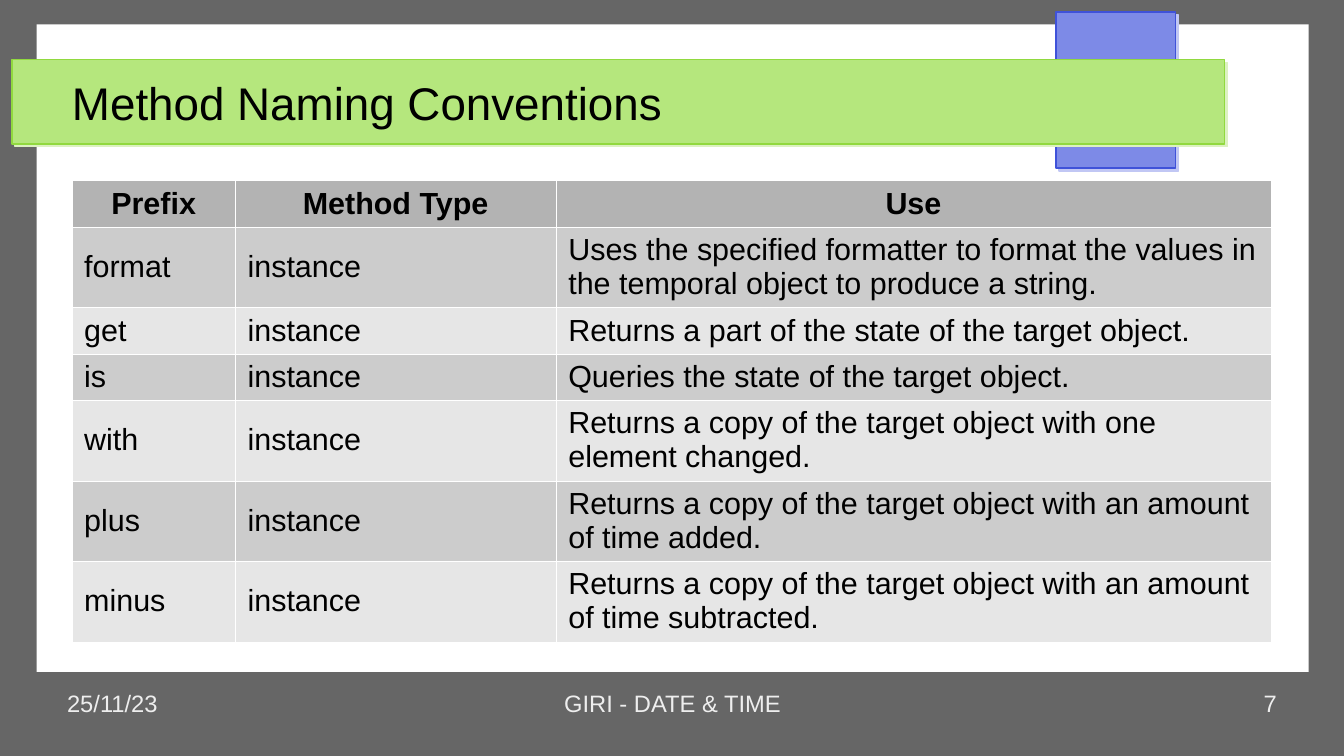
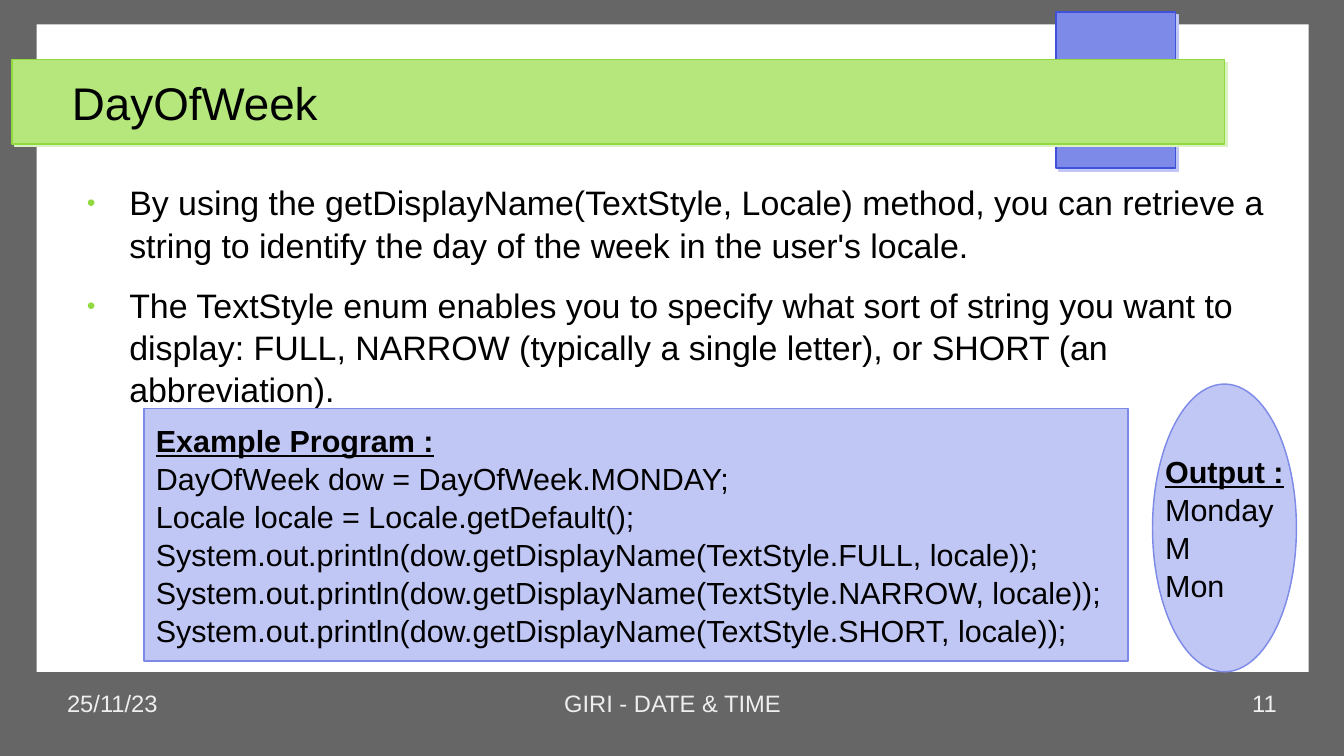
from dataclasses import dataclass

from lxml import etree
from pptx import Presentation
from pptx.dml.color import RGBColor
from pptx.enum.shapes import MSO_SHAPE
from pptx.enum.text import MSO_ANCHOR, MSO_AUTO_SIZE, PP_ALIGN
from pptx.oxml.ns import qn
from pptx.util import Inches, Pt

RECTANGLE, OVAL = MSO_SHAPE.RECTANGLE, MSO_SHAPE.OVAL
TOP, MIDDLE = MSO_ANCHOR.TOP, MSO_ANCHOR.MIDDLE
LEFT, CENTER, RIGHT = PP_ALIGN.LEFT, PP_ALIGN.CENTER, PP_ALIGN.RIGHT
NO_AUTOFIT = MSO_AUTO_SIZE.NONE
TITLE_ONLY = 5


@dataclass(frozen=True)
class Theme:
    font: str = "Arial"
    title_size: float = 27
    body_size: float = 20
    detail_size: float = 18
    footer_size: float = 14
    line_width: float = 0.85
    border_width: float = 0.06
    line_spacing: float = 1.04
    text: str = "000000"
    footer_text: str = "EEEEEE"
    frame: str = "666666"
    paper: str = "FFFFFF"
    green: str = "B5E77D"
    green_line: str = "91D93F"
    green_shadow: str = "DCF1C1"
    blue: str = "7D8AE7"
    blue_line: str = "3F52D9"
    pale_blue: str = "C1C7F4"
    header_row: str = "B3B3B3"
    row_bands: tuple = ("CCCCCC", "E6E6E6")


THEME = Theme()
SLIDE_SIZE = (11.02, 6.2)
TITLE_BOX = (0.59, 0.49, 9.45, 0.69)
CONTENT_BOX = (0.59, 1.48, 9.84, 3.94)
FOOTER_TOP, FOOTER_HEIGHT = 5.65, 0.43
FOOTER_DATE, FOOTER_NAME = "25/11/23", "GIRI - DATE & TIME"

COLUMN_WIDTHS = (1.34, 2.63, 5.86)
ONE_LINE_ROW, TWO_LINE_ROW = 0.38, 0.66
TABLE_HEADER = ("Prefix", "Method Type", "Use")
METHODS = (
    ("format", "Uses the specified formatter to format the values in the temporal "
               "object to produce a string.", TWO_LINE_ROW),
    ("get", "Returns a part of the state of the target object.", ONE_LINE_ROW),
    ("is", "Queries the state of the target object.", ONE_LINE_ROW),
    ("with", "Returns a copy of the target object with one element changed.",
     TWO_LINE_ROW),
    ("plus", "Returns a copy of the target object with an amount of time added.",
     TWO_LINE_ROW),
    ("minus", "Returns a copy of the target object with an amount of time subtracted.",
     TWO_LINE_ROW),
)

BULLETS = (
    "By using the getDisplayName(TextStyle, Locale) method, you can retrieve a "
    "string to identify the day of the week in the user's locale.",
    "The TextStyle enum enables you to specify what sort of string you want to "
    "display: FULL, NARROW (typically a single letter), or SHORT (an abbreviation).",
)
PROGRAM = (
    "Example Program :",
    "DayOfWeek dow = DayOfWeek.MONDAY;",
    "Locale locale = Locale.getDefault();",
    *(f"System.out.println(dow.getDisplayName(TextStyle.{style}, locale));"
      for style in ("FULL", "NARROW", "SHORT")),
)
OUTPUT = ("Output :", "Monday", "M", "Mon")


def set_format(target, **values):
    for name, value in values.items():
        setattr(target, name, value)


def add_xml(parent, tag, **attributes):
    return etree.SubElement(parent, qn(tag), attributes)


def to_inches(box):
    return [Inches(length) for length in box]


def format_frame(frame, anchor=TOP, margins=(0, 0), wrap=True):
    horizontal, vertical = (Inches(margin) for margin in margins)
    set_format(frame, auto_size=NO_AUTOFIT, word_wrap=wrap, vertical_anchor=anchor,
               margin_left=horizontal, margin_right=horizontal,
               margin_top=vertical, margin_bottom=vertical)


def write_paragraph(paragraph, text, size, color=THEME.text, align=LEFT, **font_values):
    paragraph.alignment = align
    run = paragraph.add_run()
    run.text = text
    set_format(run.font, name=THEME.font, size=Pt(size), **font_values)
    run.font.color.rgb = RGBColor.from_string(color)


def next_paragraph(frame, index):
    return frame.add_paragraph() if index else frame.paragraphs[0]


def add_panel(slide, box, fill, line=None, shadow=None, kind=RECTANGLE):
    shape = slide.shapes.add_shape(kind, *to_inches(box))
    shape.fill.solid()
    shape.fill.fore_color.rgb = RGBColor.from_string(fill)
    if line:
        shape.line.color.rgb = RGBColor.from_string(line)
        shape.line.width = Pt(THEME.line_width)
    else:
        shape.line.fill.background()
    shape.shadow.inherit = False
    if shadow:
        effects = shape.element.spPr.find(qn("a:effectLst"))
        outer = add_xml(effects, "a:outerShdw", blurRad="0", dist=str(Pt(2.4)),
                        dir="2700000", algn="tl", rotWithShape="0")
        add_xml(outer, "a:srgbClr", val=shadow)
    return shape


def add_text_box(slide, box):
    frame = slide.shapes.add_textbox(*to_inches(box)).text_frame
    format_frame(frame)
    return frame


def add_backdrop(slide):
    add_panel(slide, (0, 0, *SLIDE_SIZE), THEME.frame)
    add_panel(slide, (0.3, 0.2, 10.43, 5.31), THEME.paper)
    add_panel(slide, (8.66, 0.1, 0.98, 1.28), THEME.blue, THEME.blue_line,
              THEME.pale_blue)
    add_panel(slide, (0.1, 0.49, 9.94, 0.69), THEME.green, THEME.green_line,
              THEME.green_shadow)


def place_title(slide, text):
    """Format the title placeholder and lift it above the backdrop."""
    title = slide.shapes.title
    left, top, width, height = to_inches(TITLE_BOX)
    set_format(title, left=left, top=top, width=width, height=height)
    format_frame(title.text_frame, MIDDLE)
    write_paragraph(title.text_frame.paragraphs[0], text, THEME.title_size)
    title.element.getparent().append(title.element)


def add_footer(slide, number):
    for text, left, width, align in (
        (FOOTER_DATE, 0.55, 2.57, LEFT),
        (FOOTER_NAME, 3.77, 3.49, CENTER),
        (str(number), 7.9, 2.57, RIGHT),
    ):
        frame = add_text_box(slide, (left, FOOTER_TOP, width, FOOTER_HEIGHT))
        write_paragraph(frame.paragraphs[0], text, THEME.footer_size,
                        THEME.footer_text, align)


def add_base_slide(presentation, title, number):
    slide = presentation.slides.add_slide(presentation.slide_layouts[TITLE_ONLY])
    add_backdrop(slide)
    place_title(slide, title)
    add_footer(slide, number)
    return slide


def format_cell(cell, text, fill, anchor, **text_values):
    set_format(cell, vertical_anchor=anchor,
               margin_left=Inches(0.1), margin_right=Inches(0.1),
               margin_top=Inches(0.05), margin_bottom=Inches(0.05))
    properties = cell._tc.get_or_add_tcPr()
    for side in ("a:lnL", "a:lnR", "a:lnT", "a:lnB"):
        border = add_xml(properties, side, w=str(Pt(THEME.border_width)))
        add_xml(add_xml(border, "a:solidFill"), "a:srgbClr", val=THEME.paper)
    cell.fill.solid()
    cell.fill.fore_color.rgb = RGBColor.from_string(fill)
    write_paragraph(cell.text_frame.paragraphs[0], text, THEME.detail_size, **text_values)


def add_method_table(slide, box):
    left, top, width, _ = box
    heights = [ONE_LINE_ROW] + [height for _, _, height in METHODS]
    table = slide.shapes.add_table(
        len(heights), len(COLUMN_WIDTHS),
        *to_inches((left, top, width, sum(heights)))).table
    table.horz_banding = False
    for column, column_width in zip(table.columns, COLUMN_WIDTHS):
        column.width = Inches(column_width)
    for row, height in zip(table.rows, heights):
        row.height = Inches(height)
    for cell, text in zip(table.rows[0].cells, TABLE_HEADER):
        format_cell(cell, text, THEME.header_row, MIDDLE, align=CENTER, bold=True)
    for index, (prefix, use, _) in enumerate(METHODS):
        fill = THEME.row_bands[index % 2]
        texts = ((prefix, MIDDLE), ("instance", MIDDLE), (use, TOP))
        for cell, (text, anchor) in zip(table.rows[index + 1].cells, texts):
            format_cell(cell, text, fill, anchor, bold=False)


def add_bullets(slide, box):
    frame = add_text_box(slide, box)
    for index, text in enumerate(BULLETS):
        paragraph = next_paragraph(frame, index)
        set_format(paragraph, line_spacing=THEME.line_spacing, space_after=Pt(10.6))
        write_paragraph(paragraph, text, THEME.body_size)
        properties = paragraph._p.get_or_add_pPr()
        properties.set("marL", str(Inches(0.47)))
        properties.set("indent", str(Inches(-0.35)))
        add_xml(add_xml(properties, "a:buClr"), "a:srgbClr", val=THEME.green_line)
        add_xml(properties, "a:buSzPct", val="45000")
        add_xml(properties, "a:buFont", typeface=THEME.font)
        add_xml(properties, "a:buChar", char="●")


def add_listing(slide, box, lines, kind=RECTANGLE, heading_align=LEFT):
    """Add a pale panel whose first line is an underlined heading."""
    panel = add_panel(slide, box, THEME.pale_blue, THEME.blue, kind=kind)
    frame = panel.text_frame
    format_frame(frame, MIDDLE, margins=(0.1, 0.05), wrap=False)
    for index, text in enumerate(lines):
        heading = index == 0
        paragraph = next_paragraph(frame, index)
        paragraph.line_spacing = THEME.line_spacing
        write_paragraph(paragraph, text, THEME.detail_size,
                        align=heading_align if heading else LEFT,
                        bold=heading, underline=heading)


def build_naming_slide(presentation):
    slide = add_base_slide(presentation, "Method Naming Conventions", 7)
    add_method_table(slide, CONTENT_BOX)


def build_day_slide(presentation):
    slide = add_base_slide(presentation, "DayOfWeek", 11)
    add_bullets(slide, CONTENT_BOX)
    add_listing(slide, (1.18, 3.35, 8.07, 2.07), PROGRAM)
    add_listing(slide, (9.45, 3.15, 1.18, 2.36), OUTPUT, OVAL, CENTER)


def main():
    presentation = Presentation()
    width, height = to_inches(SLIDE_SIZE)
    set_format(presentation, slide_width=width, slide_height=height)
    build_naming_slide(presentation)
    build_day_slide(presentation)
    presentation.save("out.pptx")


if __name__ == "__main__":
    main()
